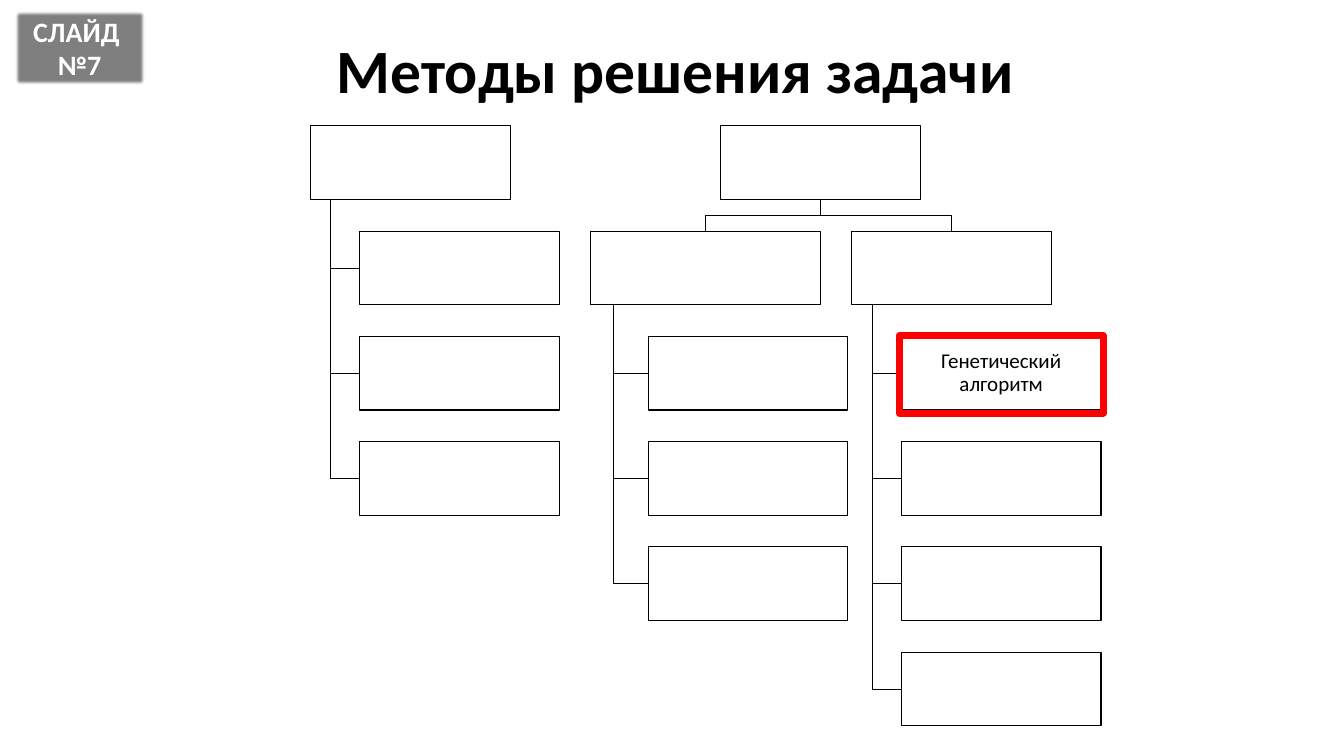
from lxml.etree import SubElement
from pptx import Presentation
from pptx.dml.color import RGBColor
from pptx.enum.shapes import MSO_SHAPE
from pptx.enum.text import MSO_ANCHOR, MSO_AUTO_SIZE, PP_ALIGN
from pptx.oxml.ns import qn
from pptx.util import Inches, Pt

BLACK = RGBColor(0x00, 0x00, 0x00)
WHITE = RGBColor(0xFF, 0xFF, 0xFF)
GRAY = RGBColor(0x80, 0x80, 0x80)
RED = RGBColor(0xFF, 0x00, 0x00)

FONT = "Calibri"
BOX_W, BOX_H = 1.98, 0.73
FIRST_TOP, LAST_TOP, LAST_ROW = 1.25, 6.47, 5
ROW_STEP = (LAST_TOP - FIRST_TOP) / LAST_ROW

# Parent left, parent width, parent row, children left, labels of the children
BRANCHES = [
    (3.08, BOX_W, 0, 3.57, ["", "", ""]),
    (5.86, 2.28, 1, 6.43, ["", "", ""]),
    (8.45, BOX_W, 1, 8.94, ["Генетический алгоритм", "", "", ""]),
]
ROOT_LEFT = 7.15


def row_top(row):
    return FIRST_TOP + row * ROW_STEP


def add_rect(slide, left, top, width, height, fill=None, line=None, weight=0.75):
    sp = slide.shapes.add_shape(MSO_SHAPE.RECTANGLE, Inches(left), Inches(top),
                                Inches(width), Inches(height))
    sp.shadow.inherit = False
    if fill is None:
        sp.fill.background()
    else:
        sp.fill.solid()
        sp.fill.fore_color.rgb = fill
    if line is None:
        sp.line.fill.background()
    else:
        sp.line.color.rgb = line
        sp.line.width = Pt(weight)
    return sp


def write(sp, lines, size, color, bold=False, spacing=1.0, inset=None):
    """Fill a shape with centred paragraphs, one for each line."""
    tf = sp.text_frame
    tf.word_wrap = True
    tf.vertical_anchor = MSO_ANCHOR.MIDDLE
    if inset is not None:
        tf.margin_left = tf.margin_right = Inches(inset)
        tf.margin_top = tf.margin_bottom = Inches(inset)
    for i, line in enumerate(lines):
        p = tf.add_paragraph() if i else tf.paragraphs[0]
        p.alignment = PP_ALIGN.CENTER
        p.line_spacing = spacing
        r = p.add_run()
        r.text = line
        r.font.name = FONT
        r.font.size = Pt(size)
        r.font.bold = bold
        r.font.color.rgb = color


def add_polyline(slide, points):
    start, *rest = [(Inches(x), Inches(y)) for x, y in points]
    builder = slide.shapes.build_freeform(*start)
    builder.add_line_segments(rest, close=False)
    sp = builder.convert_to_shape()
    sp.shadow.inherit = False
    sp.fill.background()
    sp.line.color.rgb = BLACK
    sp.line.width = Pt(0.5)


def add_box(slide, left, row, width=BOX_W, label=""):
    sp = add_rect(slide, left, row_top(row), width, BOX_H, WHITE, BLACK)
    if label:
        write(sp, [label], 15, BLACK, spacing=0.9, inset=0.01)


def add_branch(slide, left, width, row, child_left, labels):
    """Draw a parent with its children hanging from a trunk below it."""
    trunk = left + width / 10
    for child_row, label in enumerate(labels, row + 1):
        middle = row_top(child_row) + BOX_H / 2
        add_polyline(slide, [(trunk, row_top(row) + BOX_H), (trunk, middle),
                             (child_left, middle)])
        add_box(slide, child_left, child_row, label=label)
    add_box(slide, left, row, width)


def add_root(slide):
    """Draw the second root and its fork to the parents of row 1."""
    center = ROOT_LEFT + BOX_W / 2
    bottom, below = row_top(0) + BOX_H, row_top(1)
    bend = (bottom + below) / 2
    for left, width, row, *_ in BRANCHES:
        if row == 1:
            end = left + width / 2
            add_polyline(slide, [(center, bottom), (center, bend),
                                 (end, bend), (end, below)])
    add_box(slide, ROOT_LEFT, 0)


def add_title(slide, text):
    tb = slide.shapes.add_textbox(Inches(0.95), Inches(0), Inches(11.5), Inches(1.45))
    write(tb, [text], 44, BLACK, bold=True, spacing=0.9)


def add_badge(slide, lines):
    sp = add_rect(slide, 0.13, 0.09, 1.32, 0.77, GRAY)
    write(sp, lines, 20, WHITE, bold=True)
    sp.text_frame.auto_size = MSO_AUTO_SIZE.SHAPE_TO_FIT_TEXT
    effects = sp.element.spPr.find(qn("a:effectLst"))
    SubElement(effects, qn("a:softEdge"), rad=str(Pt(2.5)))


def main():
    prs = Presentation()
    prs.slide_width, prs.slide_height = Inches(13.33), Inches(7.5)
    slide = prs.slides.add_slide(prs.slide_layouts[6])
    add_title(slide, "Методы решения задачи")
    add_badge(slide, ["СЛАЙД ", "№7"])
    add_root(slide)
    for branch in BRANCHES:
        add_branch(slide, *branch)
    add_rect(slide, 8.92, 3.33, 2.02, 0.77, line=RED, weight=5)
    prs.save("out.pptx")


if __name__ == "__main__":
    main()
